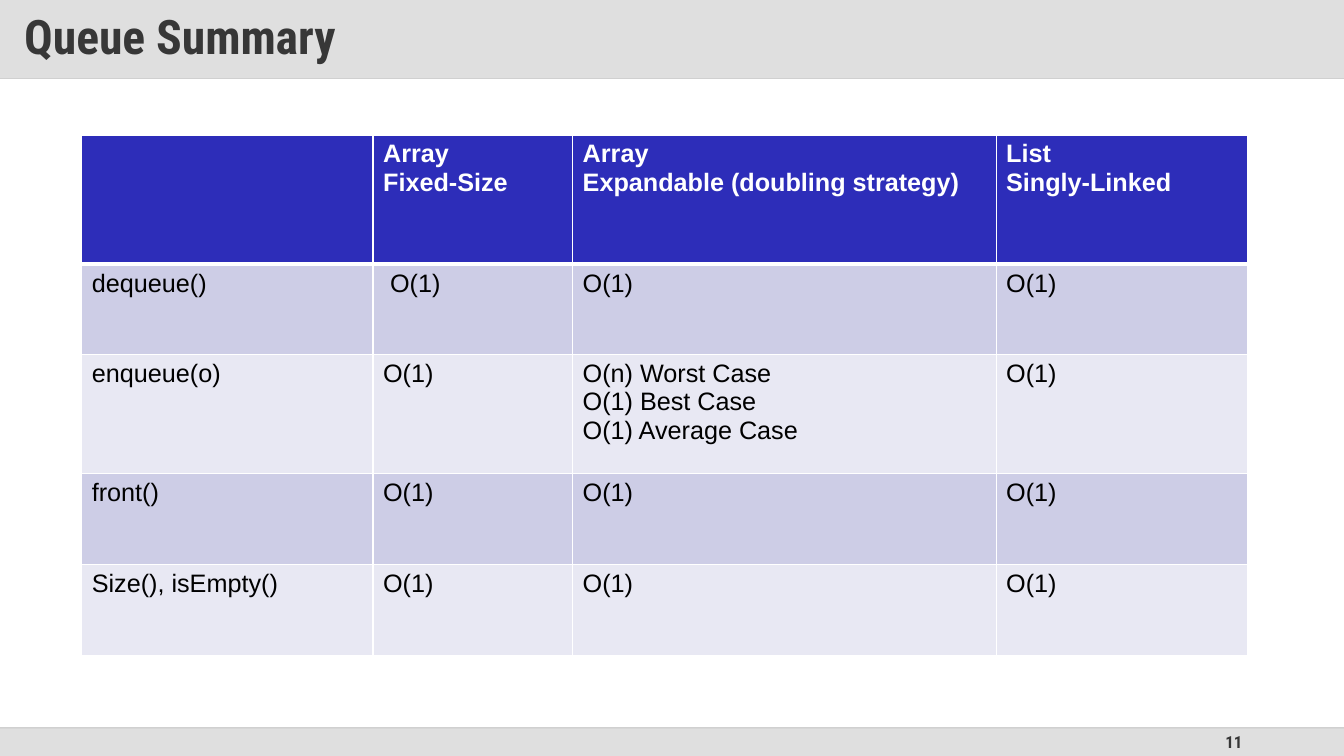
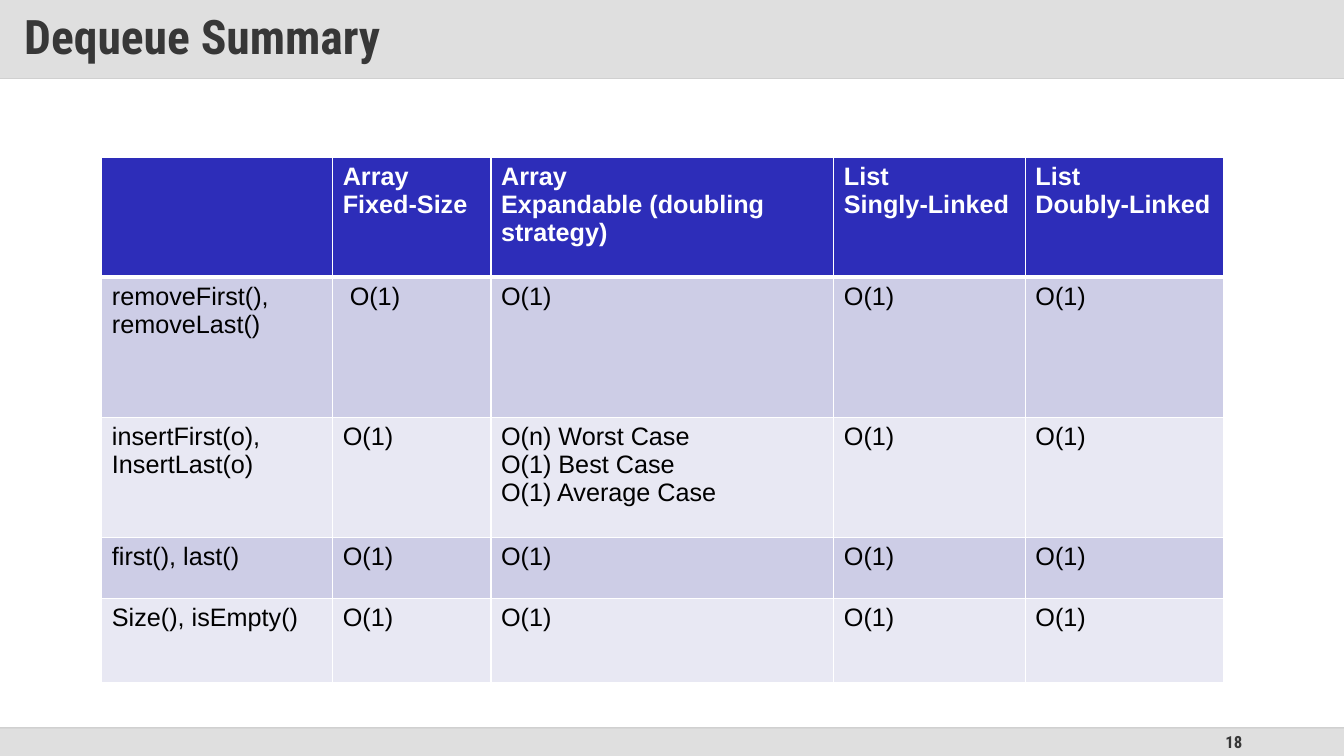
import dataclasses
import pptx
import pptx.dml.color
import pptx.enum.shapes
import pptx.enum.text
import pptx.oxml.ns
import pptx.util
from lxml import etree


@dataclasses.dataclass(frozen=True)
class Theme:
    ink: str = "373737"
    band: str = "C0C0C0"
    foot: str = "DFDFDF"
    rule: str = "D9D9D9"
    edge: str = "BFBFBF"
    head: str = "2D2DB9"
    odd: str = "CDCDE6"
    even: str = "E8E8F3"
    white: str = "FFFFFF"
    black: str = "000000"
    title_font: str = "Roboto Condensed"
    body_font: str = "Arial"
    title_size: int = 34
    body_size: int = 18
    page_size: int = 12


theme = Theme()
qn = pptx.oxml.ns.qn
rgb = pptx.dml.color.RGBColor.from_string
align = pptx.enum.text.PP_ALIGN
middle = pptx.enum.text.MSO_ANCHOR.MIDDLE

deck = pptx.Presentation()
deck.slide_width = pptx.util.Inches(13.33)
deck.slide_height = pptx.util.Inches(7.5)
# One percent of the slide's width and height
col = deck.slide_width / 100
row = deck.slide_height / 100
title_row, foot_row = 10.4, 96.27


def style(para, font, size, color, bold):
    para.font.name = font
    para.font.size = pptx.util.Pt(size)
    para.font.color.rgb = rgb(color)
    para.font.bold = bold


def fade(shape, share):
    color = shape._element.spPr.find(".//" + qn("a:srgbClr"))
    etree.SubElement(color, qn("a:alpha"), val=str(share * 1000))


# Text, place (in percent) and grid (in percent) of each slide
worst = "O(n) Worst Case\nO(1) Best Case\nO(1) Average Case"
heads = ["", "Array\nFixed-Size", "Array\nExpandable (doubling strategy)",
         "List\nSingly-Linked"]
pages = [
    dict(title="Queue Summary", page="11", left=6.08, top=17.87,
         cols=[21.68, 14.85, 31.51, 18.68],
         rows=[17.07, 12, 15.73, 12, 12],
         heads=heads,
         names=["dequeue()", "enqueue(o)", "front()", "Size(), isEmpty()"]),
    dict(title="Dequeue Summary", page="18", left=7.58, top=20.8,
         cols=[17.18, 11.78, 25.51, 14.25, 14.78],
         rows=[15.87, 18.53, 15.87, 8.13, 11.07],
         heads=heads + ["List\nDoubly-Linked"],
         names=["removeFirst(), removeLast()", "insertFirst(o), InsertLast(o)",
                "first(), last()", "Size(), isEmpty()"]),
]

for page in pages:
    slide = deck.slides.add_slide(deck.slide_layouts[5])
    shapes = slide.shapes

    # Footer band and page number
    foot = shapes.add_shape(
        pptx.enum.shapes.MSO_SHAPE.RECTANGLE, 0, int(foot_row * row),
        deck.slide_width, int((100 - foot_row) * row))
    foot.shadow.inherit = False
    foot.fill.solid()
    foot.fill.fore_color.rgb = rgb(theme.foot)
    foot.line.fill.background()

    label = shapes.add_textbox(
        int(70.67 * col), int(foot_row * row),
        int(22.5 * col), int((100 - foot_row) * row)).text_frame
    label.word_wrap = True
    label.vertical_anchor = middle
    label.text = page["page"]
    label.paragraphs[0].alignment = align.RIGHT
    style(label.paragraphs[0], theme.title_font, theme.page_size,
          theme.ink, True)

    # Rules along both bands
    for high, color, share in [(title_row, theme.rule, 100),
                               (foot_row, theme.edge, 70)]:
        rule = shapes.add_connector(
            pptx.enum.shapes.MSO_CONNECTOR.STRAIGHT, 0, int(high * row),
            deck.slide_width, int(high * row))
        rule.line.color.rgb = rgb(color)
        rule.line.width = pptx.util.Pt(1)
        etree.SubElement(rule._element.spPr, qn("a:effectLst"))
        if share < 100:
            fade(rule, share)

    # Title band, in front of the rules
    title = shapes.title
    shapes._spTree.append(title._element)
    title.left, title.top = 0, 0
    title.width, title.height = deck.slide_width, int(title_row * row)
    title.fill.solid()
    title.fill.fore_color.rgb = rgb(theme.band)
    fade(title, 50)
    frame = title.text_frame
    frame.text = page["title"]
    frame.word_wrap = True
    frame.auto_size = pptx.enum.text.MSO_AUTO_SIZE.NONE
    frame.vertical_anchor = middle
    frame.margin_left = frame.margin_right = pptx.util.Inches(0.24)
    frame.margin_top = frame.margin_bottom = pptx.util.Inches(0.12)
    para = frame.paragraphs[0]
    para.alignment = align.LEFT
    para.line_spacing = 0.9
    style(para, theme.title_font, theme.title_size, theme.ink, True)

    # Cost table: O(1) all over, save for the growing array
    cols, rows = page["cols"], page["rows"]
    cells = [page["heads"]]
    cells += [[name] + ["O(1)"] * (len(cols) - 1) for name in page["names"]]
    cells[1][1] = " O(1)"
    cells[2][2] = worst

    table = shapes.add_table(
        len(rows), len(cols), int(page["left"] * col), int(page["top"] * row),
        int(sum(cols) * col), int(sum(rows) * row)).table
    for i, wide in enumerate(cols):
        table.columns[i].width = int(wide * col)
    for j, high in enumerate(rows):
        table.rows[j].height = int(high * row)
        fill = theme.head if j == 0 else theme.odd if j % 2 else theme.even
        for i, text in enumerate(cells[j]):
            cell = table.cell(j, i)
            # Thin white borders, thick below the header
            thick = {(0, "B"), (1, "T")}
            for side in "LRTB":
                line = etree.SubElement(
                    cell._tc.get_or_add_tcPr(), qn("a:ln" + side),
                    w=str(pptx.util.Pt(3 if (j, side) in thick else 1)))
                paint = etree.SubElement(line, qn("a:solidFill"))
                etree.SubElement(paint, qn("a:srgbClr"), val=theme.white)
            cell.fill.solid()
            cell.fill.fore_color.rgb = rgb(fill)
            cell.text = text
            for para in cell.text_frame.paragraphs:
                style(para, theme.body_font, theme.body_size,
                      theme.black if j else theme.white, j == 0)

deck.save("out.pptx")
